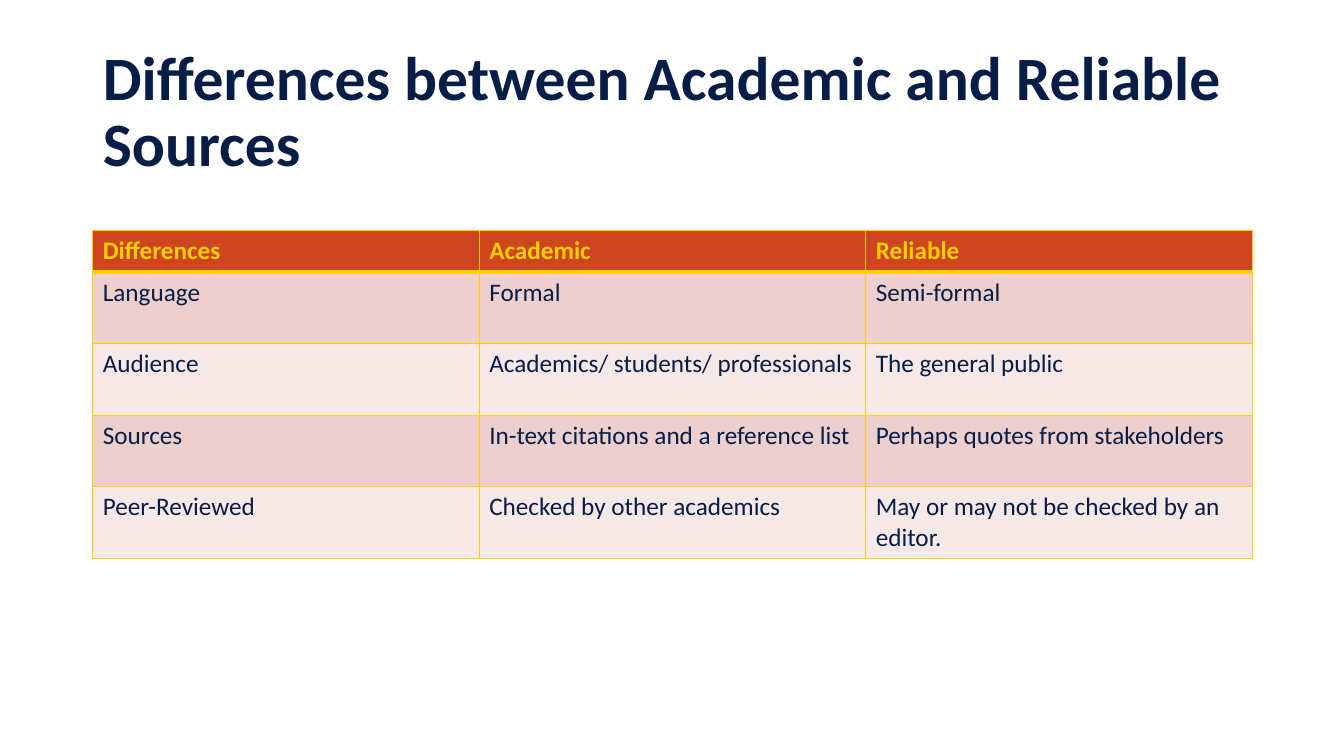
from lxml import etree
from pptx import Presentation
from pptx.dml.color import RGBColor
from pptx.enum import text
from pptx.oxml import ns
from pptx.util import Inches, Pt

NAVY = RGBColor(0x06, 0x1D, 0x48)
GOLD = RGBColor(0xFF, 0xD0, 0x00)
RUST = RGBColor(0xCF, 0x45, 0x20)
ROSE = RGBColor(0xED, 0xCF, 0xCD)
BLUSH = RGBColor(0xF6, 0xE9, 0xE8)
FONT = "Calibri"

ROWS = [
    ("Differences", "Academic", "Reliable"),
    ("Language", "Formal", "Semi-formal"),
    ("Audience", "Academics/ students/ professionals", "The general public"),
    ("Sources", "In-text citations and a reference list", "Perhaps quotes from stakeholders"),
    ("Peer-Reviewed", "Checked by other academics", "May or may not be checked by an editor."),
]


def style(par, size, color, bold):
    """Format every run of a paragraph."""
    for run in par.runs:
        font = run.font
        font.name, font.size, font.bold = FONT, Pt(size), bold
        font.color.rgb = color


def edge(cell, side, color, width):
    """Draw one border of a table cell."""
    line = etree.SubElement(cell._tc.get_or_add_tcPr(), ns.qn("a:" + side), w=str(Pt(width)))
    fill = etree.SubElement(line, ns.qn("a:solidFill"))
    etree.SubElement(fill, ns.qn("a:srgbClr"), val=str(color))


def add_title(slide, words, left, top, width, height):
    """Place the slide title in its box."""
    title = slide.shapes.title
    title.left, title.top, title.width, title.height = map(Inches, (left, top, width, height))
    frame = title.text_frame
    frame.text = words
    frame.word_wrap = True
    frame.auto_size = text.MSO_AUTO_SIZE.NONE
    frame.vertical_anchor = text.MSO_ANCHOR.MIDDLE
    par = frame.paragraphs[0]
    par.alignment = text.PP_ALIGN.LEFT
    par.line_spacing = 0.9
    style(par, 44, NAVY, True)


def add_grid(slide, rows, left, top, width, head, body):
    """Place the comparison table with a header row and banded body rows."""
    count, cols = len(rows), len(rows[0])
    height = head + body * (count - 1)
    box = map(Inches, (left, top, width, height))
    table = slide.shapes.add_table(count, cols, *box).table
    for col in table.columns:
        col.width = Inches(width / cols)
    for r, words in enumerate(rows):
        table.rows[r].height = Inches(body if r else head)
        for c, word in enumerate(words):
            cell = table.cell(r, c)
            cell.text = word
            style(cell.text_frame.paragraphs[0], 18, NAVY if r else GOLD, r == 0)
            for side in ("lnL", "lnR", "lnT", "lnB"):
                thick = (r == 0 and side == "lnB") or (r == 1 and side == "lnT")
                edge(cell, side, GOLD, 3 if thick else 1)
            cell.fill.solid()
            cell.fill.fore_color.rgb = RUST if r == 0 else ROSE if r % 2 else BLUSH


def main():
    """Build the slide and save it."""
    deck = Presentation()
    deck.slide_width, deck.slide_height = Inches(13.33), Inches(7.5)
    slide = deck.slides.add_slide(deck.slide_layouts[5])
    add_title(slide, "Differences between Academic and Reliable Sources", 0.92, 0.4, 11.5, 1.45)
    add_grid(slide, ROWS, 0.92, 2.29, 11.5, 0.41, 0.71)
    deck.save("out.pptx")


if __name__ == "__main__":
    main()
